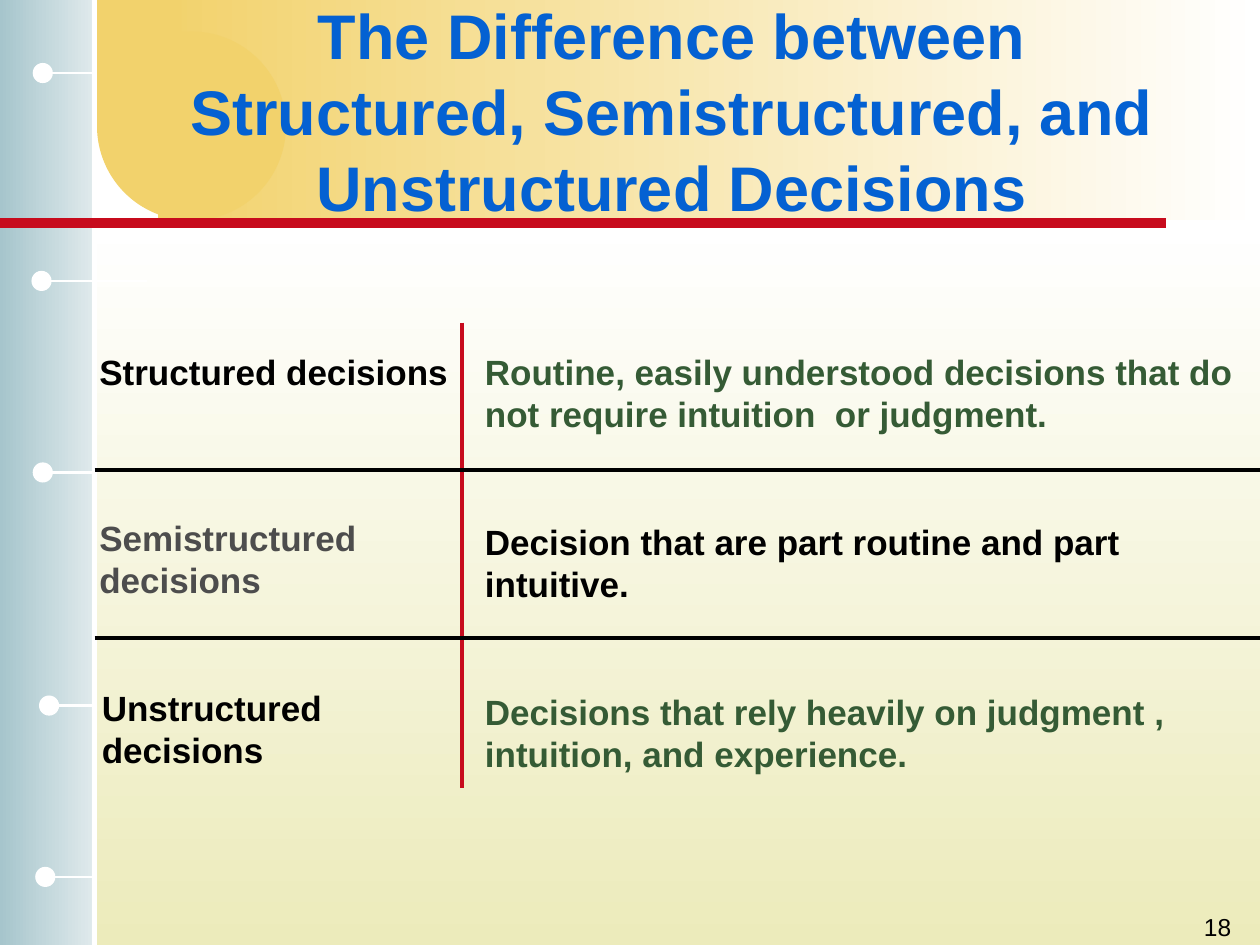
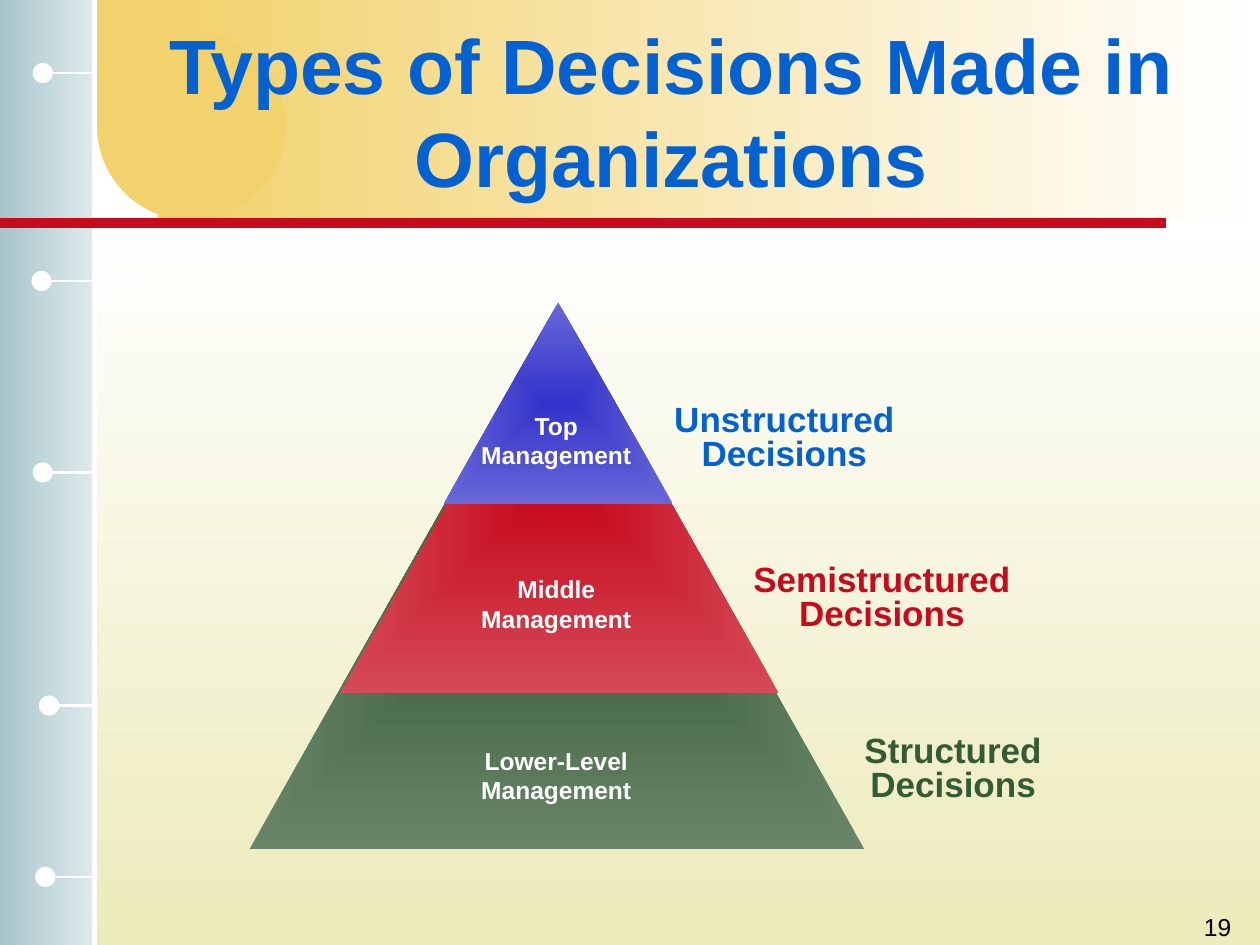
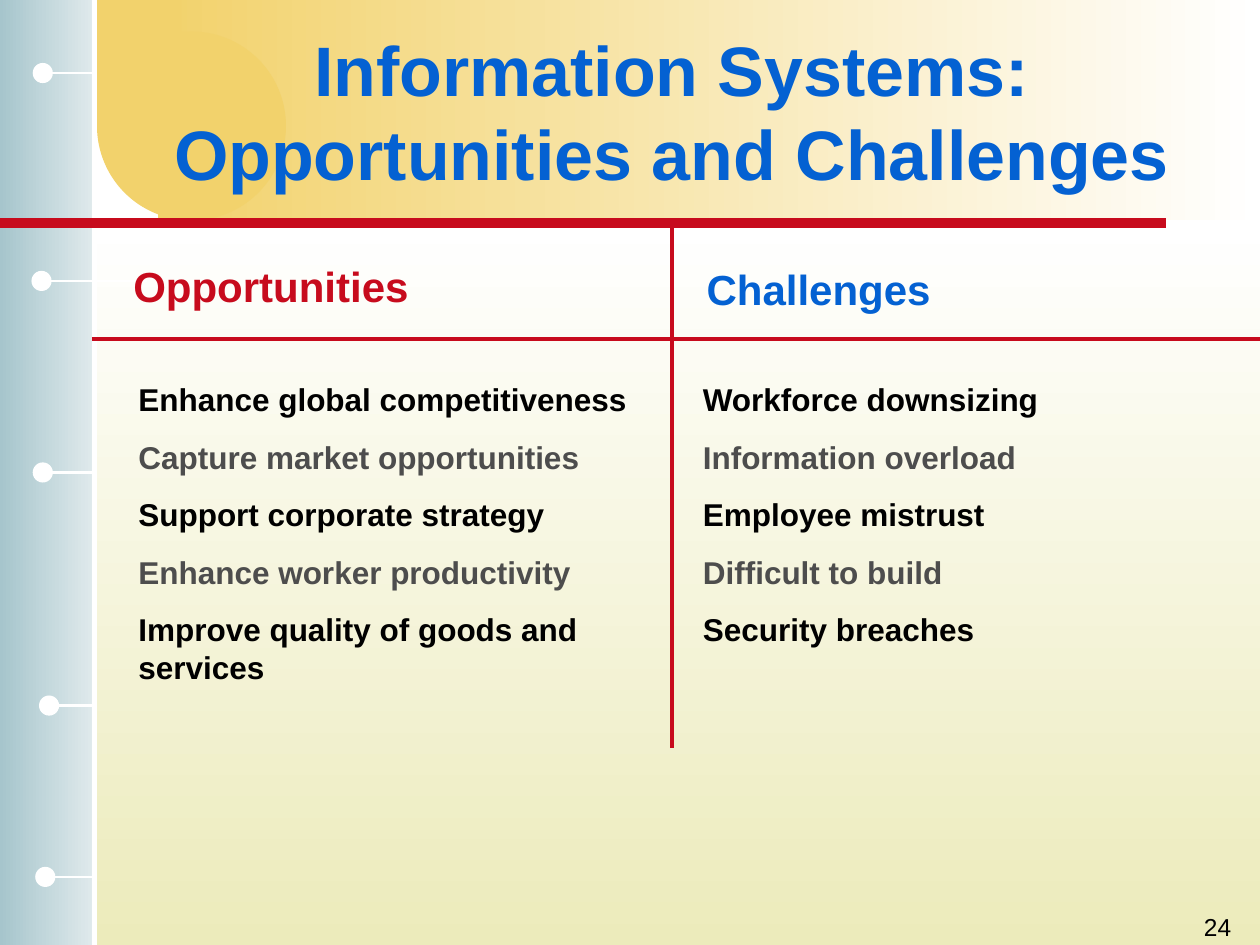
from dataclasses import dataclass
from itertools import cycle

from lxml.etree import SubElement
from pptx import Presentation
from pptx.dml.color import RGBColor
from pptx.enum.shapes import MSO_CONNECTOR, MSO_SHAPE
from pptx.enum.text import MSO_ANCHOR, PP_ALIGN
from pptx.oxml.ns import qn
from pptx.util import Inches, Pt


@dataclass(frozen=True)
class Theme:
    font: str = "Arial"
    white: str = "FFFFFF"
    black: str = "000000"
    grey: str = "4D4D4D"
    blue: str = "0461D2"
    red: str = "C70B1D"
    green: str = "355B35"
    indigo: str = "3333CC"
    light_green: str = "698569"
    light_red: str = "D44A58"
    light_indigo: str = "6868D8"
    cream: str = "ECEBBB"
    gold: str = "F2D26C"
    teal: str = "A6C5CC"
    pale_teal: str = "E0EAEC"
    heading: int = 24
    body: int = 20
    item: int = 18
    small: int = 14
    rule: float = 2.25


THEME = Theme()
PINS = [(0.25, 2.23, 1.17), (0.26, 0.58, 0.75), (0.26, 3.75, 0.73),
        (0.31, 5.6, 0.75), (0.28, 6.96, 0.73)]


class Deck:
    def __init__(self, theme):
        self.t = theme
        self.prs = Presentation()
        self.prs.slide_width = Inches(10)
        self.prs.slide_height = Inches(7.5)
        self.s = None

    def shape(self, kind, at, *colors, angle=None):
        sp = self.s.shapes.add_shape(kind, *map(Inches, at))
        sp.shadow.inherit = False
        sp.line.fill.background()
        if len(colors) == 1:
            sp.fill.solid()
            sp.fill.fore_color.rgb = RGBColor.from_string(colors[0])
            return sp
        sp.fill.gradient()
        for stop, color, position in zip(sp.fill.gradient_stops, colors, (0, 1)):
            stop.color.rgb = RGBColor.from_string(color)
            stop.position = position
        if angle is None:
            self.center_gradient(sp)
        else:
            sp.fill.gradient_angle = angle
        return sp

    def center_gradient(self, sp):
        grad = sp._element.spPr.find(qn("a:gradFill"))
        grad.remove(grad.find(qn("a:lin")))
        rect_path = SubElement(grad, qn("a:path"), {"path": "rect"})
        SubElement(rect_path, qn("a:fillToRect"), dict.fromkeys("ltrb", "50000"))

    def line(self, x1, y1, x2, y2, color, width):
        ln = self.s.shapes.add_connector(MSO_CONNECTOR.STRAIGHT, *map(Inches, (x1, y1, x2, y2)))
        ln.line.color.rgb = RGBColor.from_string(color)
        ln.line.width = Pt(width)
        SubElement(ln._element.spPr, qn("a:effectLst"))
        return ln

    def text(self, at, lines, size, colors, bold=True, align=PP_ALIGN.LEFT,
             anchor=MSO_ANCHOR.TOP, wrap=True, before=0, spacing=None):
        sp = self.s.shapes.add_textbox(*map(Inches, at))
        tf = sp.text_frame
        tf.word_wrap = wrap
        tf.vertical_anchor = anchor
        for i, (line, color) in enumerate(zip(lines, cycle(colors))):
            p = tf.add_paragraph() if i else tf.paragraphs[0]
            p.alignment = align
            if i and before:
                p.space_before = Pt(before)
            if spacing:
                p.line_spacing = spacing
            r = p.add_run()
            r.text = line
            r.font.name = self.t.font
            r.font.size = Pt(size)
            r.font.bold = bold
            r.font.color.rgb = RGBColor.from_string(color)
        return sp

    def backdrop(self):
        t = self.t
        self.shape(MSO_SHAPE.RECTANGLE, (0.73, 1.77, 9.27, 5.73), t.white, t.cream, angle=270)
        self.shape(MSO_SHAPE.RECTANGLE, (0, 0, 0.75, 7.5), t.pale_teal, t.teal, angle=180)
        self.shape(MSO_SHAPE.RECTANGLE, (1.25, 0, 8.75, 1.75), t.white, t.gold, angle=180)
        self.shape(MSO_SHAPE.OVAL, (0.77, 0.25, 1.5, 1.5), t.gold)
        self.shape(MSO_SHAPE.RECTANGLE, (0.77, 0, 0.67, 0.96), t.gold)
        self.line(0.75, 0, 0.75, 7.5, t.white, 3)
        for x, y, end in PINS:
            self.line(end, y, x + 0.08, y, t.white, 1.5)
            self.shape(MSO_SHAPE.OVAL, (x, y - 0.08, 0.16, 0.16), t.white)
        self.line(0, 1.77, 9.25, 1.77, t.red, 6)

    def slide(self, title, size, number):
        self.s = self.prs.slides.add_slide(self.prs.slide_layouts[6])
        self.backdrop()
        self.text((1.08, 0.25, 8.5, 1.25), [title], size, [self.t.blue],
                  align=PP_ALIGN.CENTER, anchor=MSO_ANCHOR.MIDDLE)
        self.text((7.79, 7.19, 2.08, 0.5), [str(number)], self.t.small, [self.t.black],
                  bold=False, align=PP_ALIGN.RIGHT)

    def group(self, members):
        self.s.shapes.add_group_shape(shapes=members)


def difference_slide(deck):
    t = deck.t
    deck.slide("The Difference between Structured, Semistructured, and Unstructured Decisions", 36, 18)
    rows = [
        ("Structured decisions", 0.69, 2.73, t.black,
         "Routine, easily understood decisions that do not require intuition  or judgment.", t.green),
        ("Semistructured decisions", 0.69, 4.05, t.grey,
         "Decision that are part routine and part intuitive.", t.black),
        ("Unstructured decisions", 0.71, 5.4, t.black,
         "Decisions that rely heavily on judgment , intuition, and experience.", t.green),
    ]
    for i, (term, x, y, term_color, meaning, color) in enumerate(rows):
        deck.text((x, y, 3.17, 0.77), [term], t.body, [term_color])
        deck.text((3.75, 2.73 + 1.35 * i, 6.42, 0.77), [meaning], t.body, [color])
    deck.line(3.67, 2.56, 3.67, 6.25, t.red, t.rule)
    for y in (3.73, 5.06):
        deck.line(0.75, y, 10, y, t.black, t.rule)


def pyramid_slide(deck):
    t = deck.t
    deck.slide("Types of Decisions Made in Organizations", 44, 19)
    triangles = [
        ((1.98, 2.43, 4.88, 4.31), t.green, t.light_green),
        ((2.7, 2.43, 3.48, 3.07), t.red, t.light_red),
        ((3.52, 2.4, 1.82, 1.6), t.indigo, t.light_indigo),
    ]
    levels = [
        ("Top", 3.21, "Unstructured", (5.25, 3.17, 1.95, 0.64), t.blue),
        ("Middle", 4.51, "Semistructured", (5.88, 4.44, 2.24, 0.64), t.red),
        ("Lower-Level", 5.87, "Structured", (6.76, 5.8, 1.61, 0.64), t.green),
    ]
    members = [deck.shape(MSO_SHAPE.ISOSCELES_TRIANGLE, *triangle) for triangle in triangles]
    for level, y, kind, at, color in levels:
        members.append(deck.text((3.72, y, 1.39, 0.57), [level, "Management"], t.small, [t.white],
                                 align=PP_ALIGN.CENTER, wrap=False))
        members.append(deck.text(at, [kind, "Decisions"], t.body, [color],
                                 align=PP_ALIGN.CENTER, wrap=False, spacing=0.8))
    deck.group(members)


def opportunities_slide(deck):
    t = deck.t
    deck.slide("Information Systems: Opportunities and Challenges", 40, 24)
    columns = [
        ("Opportunities", (0.96, 2.02, 3, 0.5), t.red, 1,
         ["Enhance global competitiveness", "Capture market opportunities",
          "Support corporate strategy", "Enhance worker productivity",
          "Improve quality of goods and services"]),
        ("Challenges", (5.51, 2.04, 3, 0.5), t.blue, 5.48,
         ["Workforce downsizing", "Information overload", "Employee mistrust",
          "Difficult to build", "Security breaches"]),
    ]
    for heading, at, color, x, items in columns:
        deck.text(at, [heading], t.heading, [color])
        deck.text((x, 2.97, 4.52, 2.53), items, t.item, [t.black, t.grey], before=11.2)
    deck.line(0.73, 2.69, 10, 2.69, t.red, t.rule)
    deck.line(5.33, 1.79, 5.33, 5.94, t.red, t.rule)


def main():
    deck = Deck(THEME)
    difference_slide(deck)
    pyramid_slide(deck)
    opportunities_slide(deck)
    deck.prs.save("out.pptx")


if __name__ == "__main__":
    main()
